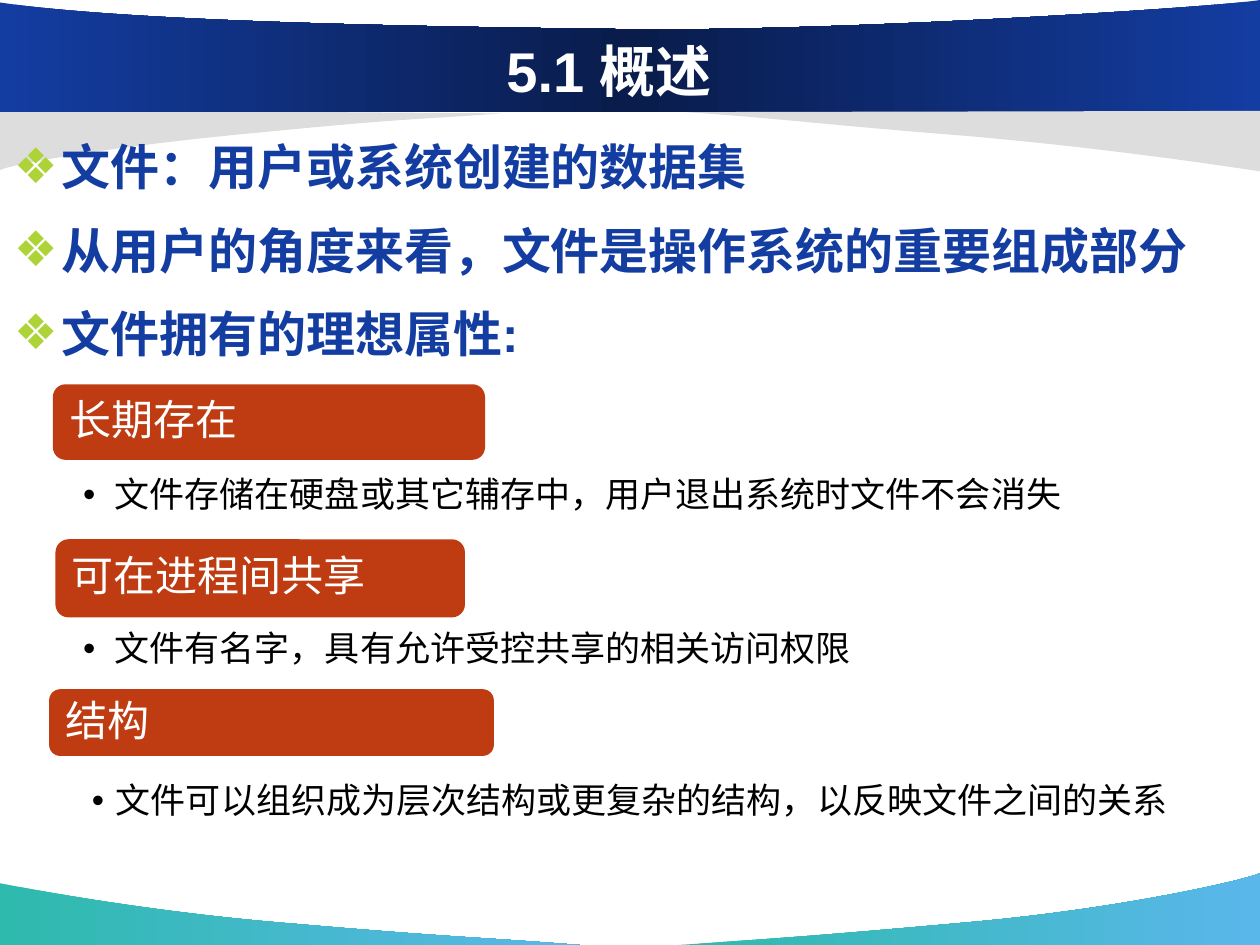
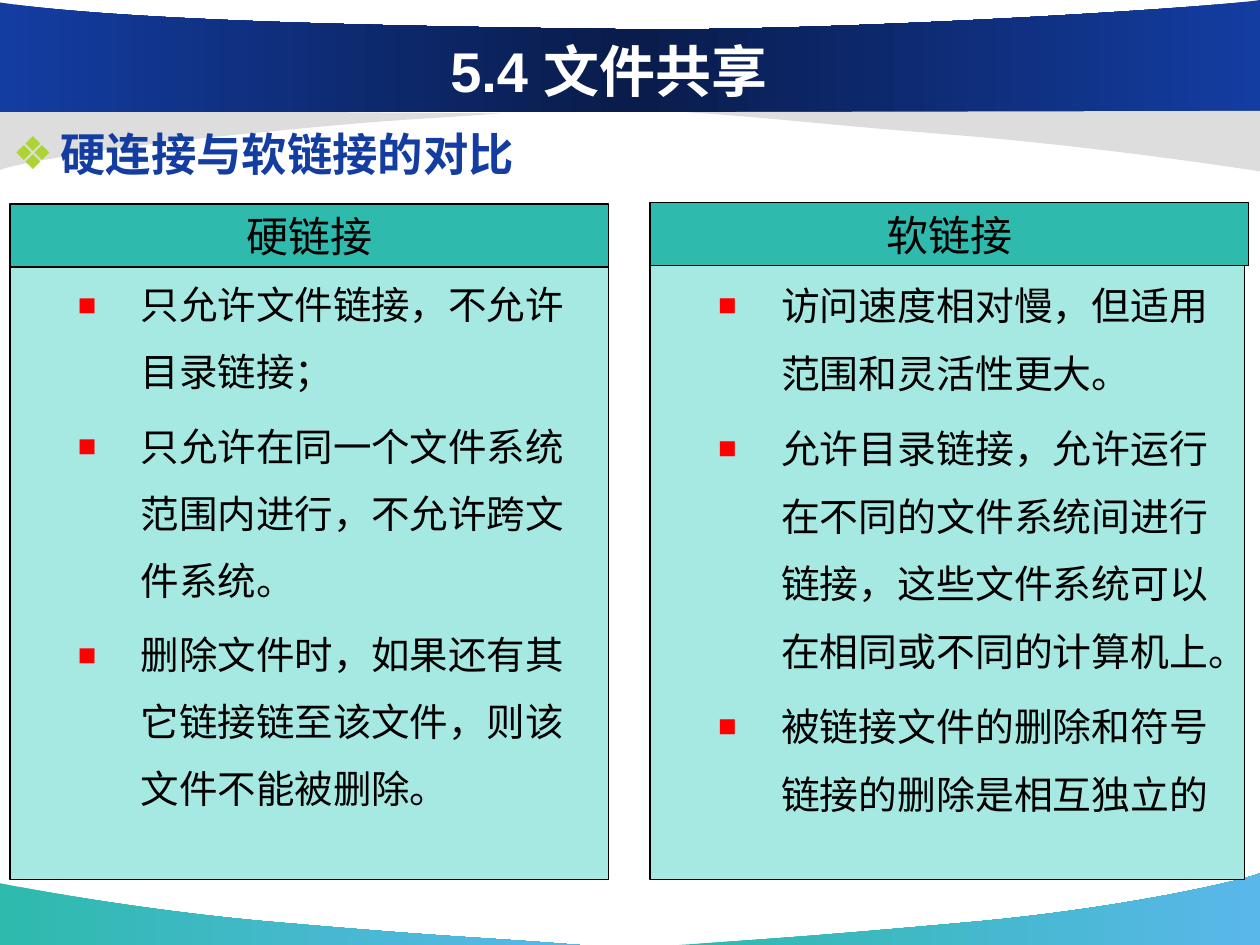
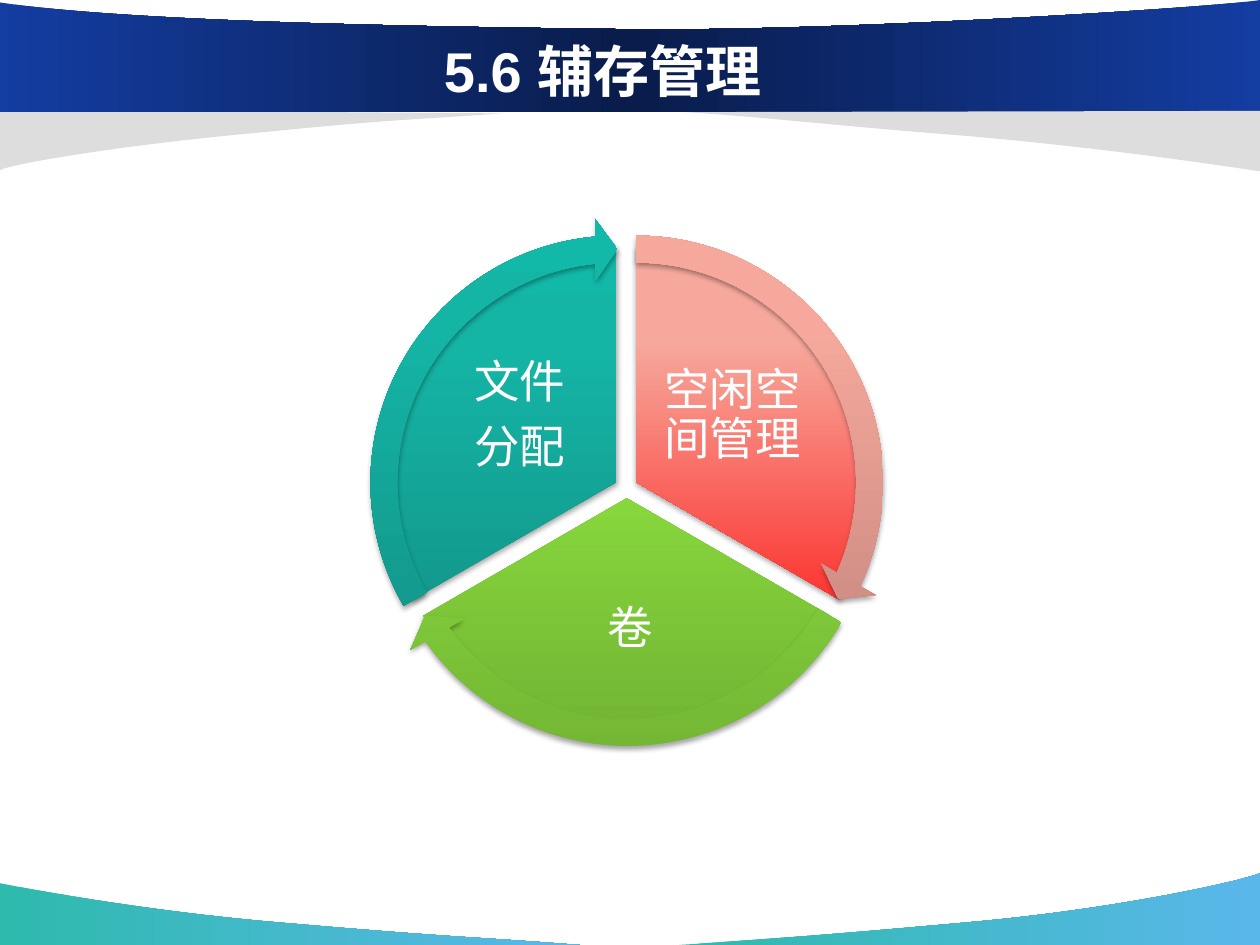
from pptx import Presentation
from pptx.dml.color import RGBColor
from pptx.enum.shapes import MSO_SHAPE
from pptx.enum.text import MSO_ANCHOR, MSO_AUTO_SIZE, PP_ALIGN
from pptx.oxml import parse_xml
from pptx.oxml.ns import nsdecls, qn
from pptx.util import Inches, Pt

FONT = "Arial"
WHITE = RGBColor(0xFF, 0xFF, 0xFF)
BLACK = RGBColor(0x00, 0x00, 0x00)
BLUE = RGBColor(0x14, 0x3D, 0xA2)
NAVY = RGBColor(0x09, 0x1C, 0x4B)
GRAY = RGBColor(0xDD, 0xDD, 0xDD)
TEAL = RGBColor(0x2E, 0xBA, 0xAD)
SKY = RGBColor(0x5A, 0xB7, 0xEA)
AQUA = RGBColor(0xA6, 0xE9, 0xE3)
LIME = RGBColor(0xAE, 0xD3, 0x37)
RED = RGBColor(0xFF, 0x00, 0x00)
RUST = RGBColor(0xBF, 0x3B, 0x12)
CORAL = RGBColor(0xF6, 0xA8, 0x9C)
CORAL_LIGHT = RGBColor(0xF9, 0xA7, 0x9B)
CORAL_DARK = RGBColor(0xBD, 0x81, 0x78)
GREENS = [(0, RGBColor(0x72, 0xB5, 0x33)), (80, RGBColor(0x94, 0xEC, 0x43)),
          (100, RGBColor(0x95, 0xF0, 0x40))]
TEALS = [(0, RGBColor(0x10, 0x8C, 0x80)), (80, RGBColor(0x15, 0xB5, 0xA6)),
         (100, RGBColor(0x12, 0xB9, 0xA9))]
REDS = [(0, RED), (80, CORAL), (100, CORAL_LIGHT)]
CORALS = [(0, CORAL_DARK), (80, CORAL), (100, CORAL_LIGHT)]

FOOTER_STOPS = [(0, TEAL), (100, SKY)]
HEADER_STOPS = [(0, BLUE), (50, NAVY), (100, BLUE)]

# Outlines: a start point, then lines (2 numbers) and Bezier curves (6 numbers).
BANDS = [
    (FOOTER_STOPS, [(4.6, 7.5), (3.84, 7.44, 3.58, 7.44, 2.32, 7.33),
                    (1.06, 7.23, 0.01, 7.01, 0, 7.01), (0, 7.5), (4.6, 7.5)]),
    (FOOTER_STOPS, [(5.39, 7.5), (6.14, 7.45, 6.46, 7.43, 7.69, 7.32),
                    (8.92, 7.21, 9.9, 6.98, 10, 6.93), (10, 7.5), (5.39, 7.5)]),
    (GRAY, [(3.98, 0.9), (3.31, 0.95, 3.18, 0.94, 2.08, 1.05),
            (0.97, 1.15, 0.09, 1.3, 0, 1.35), (0, 0.87), (3.98, 0.9)]),
    (HEADER_STOPS, [(0, 0.89), (10, 0.89), (10, 0),
                    (9.64, 0.06, 6.53, 0.26, 4.87, 0.23),
                    (3.21, 0.21, 1.01, 0.17, 0, 0.02), (0, 0.89)]),
    (GRAY, [(5.44, 0.89), (6.2, 0.94, 6.42, 0.98, 7.68, 1.08),
            (8.94, 1.19, 9.99, 1.36, 10, 1.36), (10, 0.88), (5.44, 0.89)]),
]

OVERVIEW = ["文件：用户或系统创建的数据集",
            "从用户的角度来看，文件是操作系统的重要组成部分",
            "文件拥有的理想属性:"]
# label, label box, note, note box, note left inset, note indent
PROPERTIES = [
    ("长期存在", (0.42, 3.05, 3.43, 0.6),
     "文件存储在硬盘或其它辅存中，用户退出系统时文件不会消失",
     (0.35, 3.76, 9.65, 0.6), 0.31, 0.25),
    ("可在进程间共享", (0.44, 4.28, 3.25, 0.62),
     "文件有名字，具有允许受控共享的相关访问权限",
     (0.35, 4.98, 9.65, 0.32), 0.31, 0.25),
    ("结构", (0.39, 5.47, 3.53, 0.53),
     "文件可以组织成为层次结构或更复杂的结构，以反映文件之间的关系",
     (0.45, 6.19, 9.36, 0.49), 0.28, 0.19),
]
LABEL_MARGIN = 0.03

# heading, left, heading top, panel width, text size, points
LINKS = [
    ("软链接", 5.16, 1.61, 4.72, 22.2,
     ["访问速度相对慢，但适用范围和灵活性更大。",
      "允许目录链接，允许运行在不同的文件系统间进行链接，"
      "这些文件系统可以在相同或不同的计算机上。",
      "被链接文件的删除和符号链接的删除是相互独立的"]),
    ("硬链接", 0.08, 1.62, 4.75, 22,
     ["只允许文件链接，不允许目录链接；",
      "只允许在同一个文件系统范围内进行，不允许跨文件系统。",
      "删除文件时，如果还有其它链接链至该文件，则该文件不能被删除。"]),
]

# lines, text box, pie left and top, start angle, pie and arrow gradients
SECTORS = [
    (["空闲空间管理"], (5.15, 2.75, 1.33, 1.11), (3.18, 1.96), 270, REDS, CORALS),
    (["卷"], (4, 4.51, 2, 0.98), (3.11, 2.09), 30, GREENS, GREENS),
    (["文件", "分配"], (3.46, 2.75, 1.33, 1.11), (3.03, 1.96), 150, TEALS, TEALS),
]
PIE_SIZE, ARROW_SIZE, ARROW_MARGIN = 3.73, 4.2, 0.23
SWEEP = 120
ARROW_BAND, ARROW_TIP, ARROW_HEAD = 0.051, 5.46, 0.059
ANGLE_UNIT = 0.6  # adjustment value of one degree


def place(sp, box):
    sp.left, sp.top, sp.width, sp.height = (Inches(v) for v in box)


def paint(sp, fill, angle=0):
    """Fill with one colour, or with a gradient given as (percent, colour) stops."""
    if isinstance(fill, RGBColor):
        sp.fill.solid()
        sp.fill.fore_color.rgb = fill
    else:
        sp.fill.gradient()
        stops = "".join(f'<a:gs pos="{pos * 1000}"><a:srgbClr val="{color}"/></a:gs>'
                        for pos, color in fill)
        spPr = sp._element.spPr
        spPr.replace(spPr.find(qn("a:gradFill")), parse_xml(
            f'<a:gradFill {nsdecls("a")} rotWithShape="1"><a:gsLst>{stops}</a:gsLst>'
            f'<a:lin ang="{angle * 60000}" scaled="0"/></a:gradFill>'))
    sp.line.fill.background()
    sp.shadow.inherit = False


def add_box(slide, kind, box, fill, angle=0, outline=None):
    sp = slide.shapes.add_shape(kind, *(Inches(v) for v in box))
    paint(sp, fill, angle)
    if outline is not None:
        sp.line.color.rgb = outline
        sp.line.width = Pt(0.75)
    return sp


def add_text(slide, box, texts, size, color, **style):
    tb = slide.shapes.add_textbox(*(Inches(v) for v in box))
    write(tb, texts, size, color, **style)


def add_shadow(sp):
    sp._element.spPr.find(qn("a:effectLst")).append(parse_xml(
        f'<a:outerShdw {nsdecls("a")} blurRad="{Pt(3.1)}" dist="{Pt(1.8)}" '
        'dir="5400000" rotWithShape="0"><a:srgbClr val="000000">'
        '<a:alpha val="35000"/></a:srgbClr></a:outerShdw>'))


def set_bullet(p, char, left, hang, color, percent=100):
    pPr = p._p.get_or_add_pPr()
    pPr.set("marL", str(Inches(left)))
    pPr.set("indent", str(-Inches(hang)))
    for xml in (f'<a:buClr {nsdecls("a")}><a:srgbClr val="{color}"/></a:buClr>',
                f'<a:buSzPct {nsdecls("a")} val="{percent * 1000}"/>',
                f'<a:buFont {nsdecls("a")} typeface="{FONT}"/>',
                f'<a:buChar {nsdecls("a")} char="{char}"/>'):
        pPr.append(parse_xml(xml))


def write(sp, texts, size, color, bold=False, align=PP_ALIGN.LEFT, line=1.0, gap=0.2,
          bullet=None, anchor=MSO_ANCHOR.TOP, insets=(0.1, 0.05, 0.1, 0.05)):
    """Write one paragraph per text; gap is the space between, in font sizes."""
    tf = sp.text_frame
    tf.word_wrap = True
    tf.auto_size = MSO_AUTO_SIZE.NONE
    tf.vertical_anchor = anchor
    tf.margin_left, tf.margin_top, tf.margin_right, tf.margin_bottom = (
        Inches(v) for v in insets)
    for i, text in enumerate(texts):
        p = tf.add_paragraph() if i else tf.paragraphs[0]
        if bullet:
            set_bullet(p, *bullet)
        p.alignment = align
        p.line_spacing = line
        p.space_before = Pt(size * gap if i else 0)
        r = p.add_run()
        r.text = text
        r.font.name, r.font.size, r.font.bold = FONT, Pt(size), bold
        r.font.color.rgb = color


def add_outline(slide, outline):
    """Draw lines through all points, then turn each curve's three lines into one."""
    start, *segments = outline
    points = [(Inches(seg[i]), Inches(seg[i + 1]))
              for seg in segments for i in range(0, len(seg), 2)]
    builder = slide.shapes.build_freeform(Inches(start[0]), Inches(start[1]), scale=1.0)
    builder.add_line_segments(points, close=True)
    sp = builder.convert_to_shape()
    lines = iter(list(sp._element.iter(qn("a:lnTo"))))
    for seg in segments:
        first = next(lines)
        if len(seg) == 6:
            curve = parse_xml(f'<a:cubicBezTo {nsdecls("a")}/>')
            first.addprevious(curve)
            for ln in (first, next(lines), next(lines)):
                curve.append(ln[0])
                ln.getparent().remove(ln)
    return sp


def add_bands_to_master(prs, slide):
    """Build the bands on a slide, then move them behind everything on the master."""
    tree = prs.slide_master.shapes._spTree
    for i, (fill, outline) in enumerate(BANDS):
        sp = add_outline(slide, outline)
        paint(sp, fill)
        tree.insert(2 + i, sp._element)


def add_slide(prs, layout, title):
    slide = prs.slides.add_slide(prs.slide_layouts[layout])
    sp = slide.shapes.title
    place(sp, (0.92, 0.25, 7.83, 0.62))
    write(sp, [title], 32, WHITE, bold=True, align=PP_ALIGN.CENTER,
          anchor=MSO_ANCHOR.MIDDLE)
    return slide


def fill_body(slide, box, texts, size, line):
    sp = slide.placeholders[1]
    place(sp, box)
    write(sp, texts, size, BLUE, bold=True, line=line, bullet=("❖", 0.38, 0.38, LIME))


def build_overview(prs):
    slide = add_slide(prs, 1, "5.1 概述")
    add_bands_to_master(prs, slide)
    fill_body(slide, (0.01, 0.92, 9.92, 2.91), OVERVIEW, 28, 1.25)
    for label, label_box, note, note_box, inset, indent in PROPERTIES:
        add_box(slide, MSO_SHAPE.ROUNDED_RECTANGLE, label_box, RUST)
        x, y, w, h = label_box
        inner = (x + LABEL_MARGIN, y + LABEL_MARGIN,
                 w - 2 * LABEL_MARGIN, h - 2 * LABEL_MARGIN)
        add_text(slide, inner, [label], 24, WHITE, line=0.9,
                 anchor=MSO_ANCHOR.MIDDLE, insets=(0.1,) * 4)
        add_text(slide, note_box, [note], 20, BLACK, line=0.9,
                 bullet=("•", indent, indent, BLACK), insets=(inset, 0.03, 0.16, 0.03))


def build_sharing(prs):
    slide = add_slide(prs, 1, "5.4 文件共享")
    fill_body(slide, (0, 0.76, 10, 0.63), ["硬连接与软链接的对比"], 25.9, 1.45)
    for heading, left, top, width, size, points in LINKS:
        panel = add_box(slide, MSO_SHAPE.RECTANGLE, (left, 2.02, width, 4.96), AQUA,
                        outline=BLACK)
        write(panel, points, size, BLACK, line=1.45, bullet=("■", 0.94, 0.5, RED, 80))
        bar = add_box(slide, MSO_SHAPE.RECTANGLE, (left, top, 4.75, 0.5), TEAL,
                      outline=BLACK)
        write(bar, [heading], 24, BLACK, align=PP_ALIGN.CENTER, anchor=MSO_ANCHOR.MIDDLE)


def build_storage(prs):
    slide = add_slide(prs, 5, "5.6 辅存管理 ")
    for lines, text_box, (x, y), start, stops, _ in SECTORS:
        pie = add_box(slide, MSO_SHAPE.PIE, (x, y, PIE_SIZE, PIE_SIZE), stops, 270)
        pie.adjustments[0] = start * ANGLE_UNIT
        pie.adjustments[1] = (start + SWEEP) % 360 * ANGLE_UNIT
        add_shadow(pie)
        add_text(slide, text_box, lines, 26, WHITE, align=PP_ALIGN.CENTER, line=0.9,
                 gap=0.35, anchor=MSO_ANCHOR.MIDDLE, insets=(0.04,) * 4)
    for _, _, (x, y), start, _, stops in SECTORS:
        arrow = add_box(slide, MSO_SHAPE.CIRCULAR_ARROW,
                        (x - ARROW_MARGIN, y - ARROW_MARGIN, ARROW_SIZE, ARROW_SIZE),
                        stops, 270)
        end = (start + SWEEP) % 360 - ARROW_TIP
        values = (ARROW_BAND, ARROW_TIP * ANGLE_UNIT, end * ANGLE_UNIT,
                  start * ANGLE_UNIT, ARROW_HEAD)
        for i, value in enumerate(values):
            arrow.adjustments[i] = value
        add_shadow(arrow)


def main():
    prs = Presentation()
    prs.slide_width, prs.slide_height = Inches(10), Inches(7.5)
    build_overview(prs)
    build_sharing(prs)
    build_storage(prs)
    prs.save("out.pptx")


if __name__ == "__main__":
    main()
